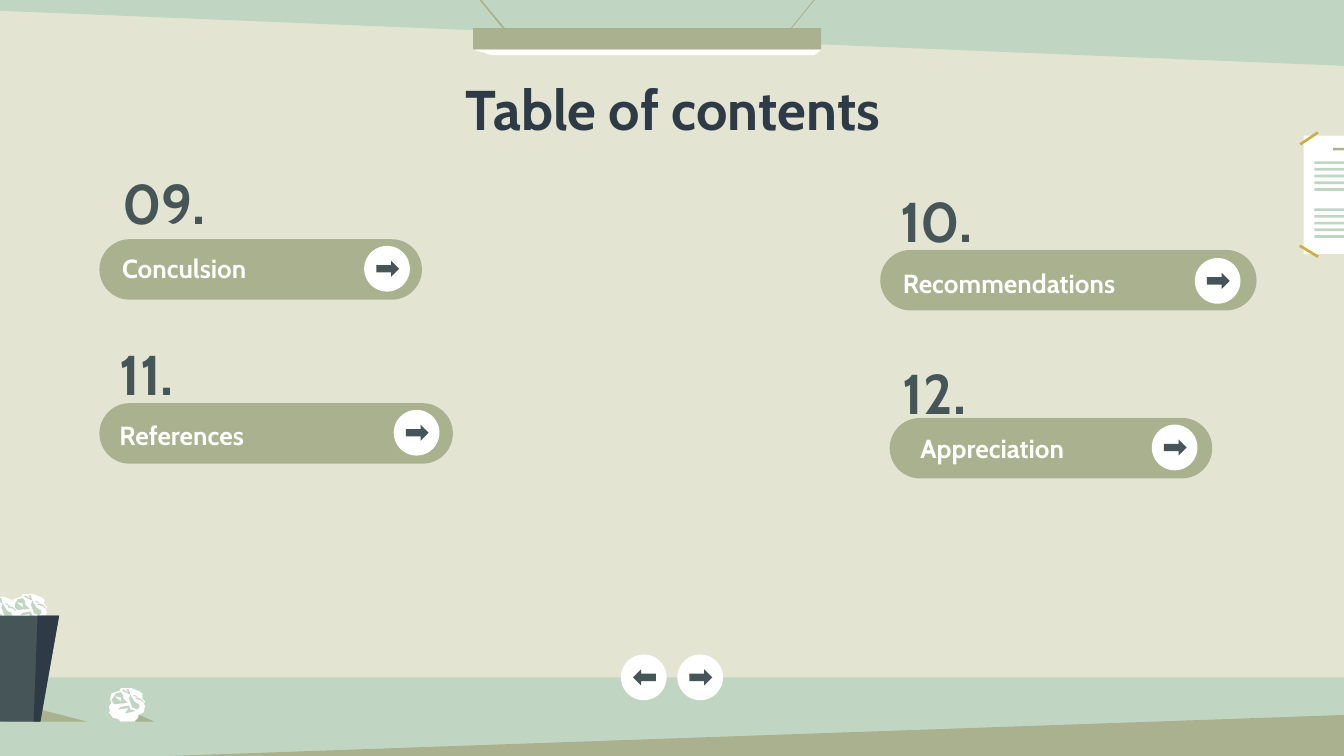
from pptx import Presentation
from pptx import util as u
from pptx.dml.color import RGBColor
from pptx.enum import shapes, text

# Grid: square cells, 100 columns across a 16:9 slide
COLUMNS = 100
ROWS = COLUMNS * 9 / 16
CELL = 0.1
FONT = "Cabin"
COLORS = {
    "wall": "E3E5D2", "mint": "C0D6C2", "olive": "AAB18E", "white": "FFFFFF",
    "slate": "465557", "navy": "2E3B46", "tape": "CDAE46",
}
KIND = shapes.MSO_SHAPE
PILL_HEIGHT, BUTTON = 4.5, 3.4

# Number, its place; label, its box; pill left, top, width; button place
ENTRIES = [
    ("09.", (8.1, 12.8), "Conculsion", (8.1, 18.6, 18.4, 2.7), (7.4, 17.8, 24), (27.1, 18.3)),
    ("10.", (66, 14.1), "Recommendations", (66.2, 19.6, 24.3, 3), (65.5, 18.6, 28), (88.9, 19.2)),
    ("11.", (7.9, 25.5), "References", (7.9, 31.4, 23.2, 2), (7.4, 30, 26.3), (29.3, 30.5)),
    ("12.", (66.2, 26.9), "Appreciation", (67.5, 32, 18.4, 2.7), (66.2, 31.1, 24), (85.7, 31.6)),
]

# Crumpled paper, in cells from the ball's top left corner
BALL = [(1.1, 0), (0.9, 0), (0.8, 0.2), (0.2, 0.4), (0.1, 0.8), (0.2, 1.1), (0, 1.4),
        (0.1, 1.7), (0, 1.8), (0.3, 2.2), (0.7, 2.3), (0.9, 2.5), (1.9, 2.5),
        (2.2, 2.2), (2.2, 2), (2.6, 1.8), (2.7, 1.3), (2.6, 1.2), (2.7, 1),
        (2.5, 0.8), (2.5, 0.4), (2.2, 0.2), (1.7, 0)]
LEFT_CREASE = [
    (0.9, 0.3), (0.5, 0.4), (0.4, 0.6), (0.9, 0.7), (0.9, 1), (0.4, 0.6), (0.2, 0.9),
    (0.4, 1.2), (1.4, 1.1), (1.1, 0.8), (1, 0.5), (1.1, 0.6)]
CREASES = [
    [(1.5, 1.3), (0.9, 1.4), (0.7, 1.6), (1.4, 1.5), (1.4, 1.6), (1.2, 1.9),
     (2, 1.7), (1.6, 1.6)],
    [(1.3, 0.1), (1.5, 0.4), (1.1, 0.1), (1, 0.2), (1.6, 0.5), (1.5, 0.1)],
    [(1.9, 0.5), (1.8, 0.5), (1.9, 0.6), (2.2, 0.7)],
    [(2, 0.7), (2, 0.8), (2.4, 0.9), (2.6, 1.1), (2.6, 1), (2.4, 0.8)],
    [(1.6, 0.5), (1.5, 0.8), (1.7, 1.3), (1.7, 1.4), (2.1, 1.6), (2.3, 1.4),
     (2.2, 1.1), (2.2, 1.2), (1.9, 1)],
]


def cells(*counts):
    return [u.Inches(count * CELL) for count in counts]


def color(name):
    return RGBColor.from_string(COLORS[name])


def paint(shape, name):
    shape.shadow.inherit = False
    shape.fill.solid()
    shape.fill.fore_color.rgb = color(name)
    shape.line.fill.background()
    return shape


def add_preset(page, kind, box, name, turn=0):
    shape = paint(page.shapes.add_shape(kind, *cells(*box)), name)
    shape.rotation = turn
    return shape


def add_outline(page, points, name, origin=(0, 0)):
    placed = [cells(origin[0] + x, origin[1] + y) for x, y in points]
    builder = page.shapes.build_freeform(*placed[0], scale=1.0)
    builder.add_line_segments(placed[1:], close=True)
    return paint(builder.convert_to_shape(), name)


def add_text(page, words, box, size, name, align=text.PP_ALIGN.LEFT):
    frame = page.shapes.add_textbox(*cells(*box)).text_frame
    inset = u.Inches(0.1)
    frame_format = {
        "word_wrap": True, "vertical_anchor": text.MSO_ANCHOR.MIDDLE,
        "margin_left": inset, "margin_right": inset,
        "margin_top": inset, "margin_bottom": inset,
    }
    for key, value in frame_format.items():
        setattr(frame, key, value)
    para = frame.paragraphs[0]
    para.alignment = align
    span = para.add_run()
    span.text = words
    for key, value in {"name": FONT, "size": u.Pt(size), "bold": True}.items():
        setattr(span.font, key, value)
    span.font.color.rgb = color(name)


def add_button(page, left, top, turn=0):
    add_preset(page, KIND.OVAL, (left, top, BUTTON, BUTTON), "white", turn)
    arrow = add_preset(page, KIND.RIGHT_ARROW, (left + 0.9, top + 1.1, 1.7, 1.2), "slate", turn)
    arrow.adjustments[0] = 0.46


def add_ball(page, left, top, creases):
    add_outline(page, BALL, "white", (left, top))
    for crease in creases:
        add_outline(page, crease, "mint", (left, top))


def add_room(page):
    # Floor, its shaded corner and the ceiling
    add_preset(page, KIND.RECTANGLE, (0, 50.4, COLUMNS, 6.2), "mint")
    corner = add_preset(page, KIND.RIGHT_TRIANGLE, (-0.3, 53.2, 100.3, 3.5), "olive")
    corner._element.spPr.xfrm.set("flipH", "1")
    add_outline(page, [(0, 0), (0, 0.8), (COLUMNS, 4.9), (COLUMNS, 0)], "mint")

    # Hanging board: cords, bar and paper edge
    add_outline(page, [(33, -3.4), (32.9, -3.4), (37.8, 2.6), (37.9, 2.5)], "olive")
    add_outline(page, [(63.3, -3.4), (58.5, 2.5), (58.5, 2.6), (63.4, -3.4)], "olive")
    add_preset(page, KIND.RECTANGLE, (35.2, 2.1, 25.9, 1.6), "olive")
    add_outline(page, [(35.2, 3.7), (36.6, 4.1), (60.6, 4.1), (61.1, 3.7)], "white")


def add_bin(page):
    add_outline(page, [(2.6, 52.7), (0.4, 53.7), (6.5, 53.7)], "olive")
    add_ball(page, 0.8, 44.2, [LEFT_CREASE, *CREASES])
    add_ball(page, -1.4, 44.4, CREASES)
    add_outline(page, [(-2, 45.8), (-0.9, 53.7), (3, 53.7), (4.4, 45.8)], "slate")
    add_outline(page, [(2.8, 45.8), (2.5, 53.7), (3, 53.7), (4.4, 45.8)], "navy")


def add_notice(page):
    add_outline(page, [(97, 10.1), (97, 18.9), (103.5, 18.9), (103.5, 11.6), (101.9, 10.1)], "white")
    add_preset(page, KIND.RECTANGLE, (99.2, 11, 2, 0.2), "olive")
    for block_top in (12, 15.5):
        for row in range(5):
            add_preset(page, KIND.RECTANGLE, (97.8, block_top + row * 0.5, 4.9, 0.2), "mint")
    for top, turn in ((18.6, 31.2), (10.2, 326.1)):
        add_preset(page, KIND.RECTANGLE, (96.6, top, 1.6, 0.2), "tape", turn)


def add_entry(page, number, number_at, label, label_box, pill, button_at):
    bar = add_preset(page, KIND.ROUNDED_RECTANGLE, (*pill, PILL_HEIGHT), "olive")
    bar.adjustments[0] = 0.5
    add_text(page, number, (*number_at, 10.2, 4.5), 30, "slate")
    add_text(page, label, label_box, 14, "white")
    add_button(page, *button_at)


def main():
    deck = Presentation()
    deck.slide_width, deck.slide_height = cells(COLUMNS, ROWS)
    page = deck.slides.add_slide(deck.slide_layouts[6])
    page.background.fill.solid()
    page.background.fill.fore_color.rgb = color("wall")

    # Scenery
    add_room(page)
    add_bin(page)
    add_notice(page)
    add_outline(page, [(9.9, 53), (9.1, 53.7), (11.5, 53.7)], "olive")
    add_ball(page, 8.1, 51.2, [LEFT_CREASE, *CREASES])

    # Contents
    add_text(page, "Table of contents", (7.9, 5.8, 84.3, 4.5), 30, "navy", text.PP_ALIGN.CENTER)
    for entry in ENTRIES:
        add_entry(page, *entry)

    # Page turning
    add_button(page, 50.4, 48.7)
    add_button(page, 46.2, 48.7, 180)
    deck.save("out.pptx")


if __name__ == "__main__":
    main()
